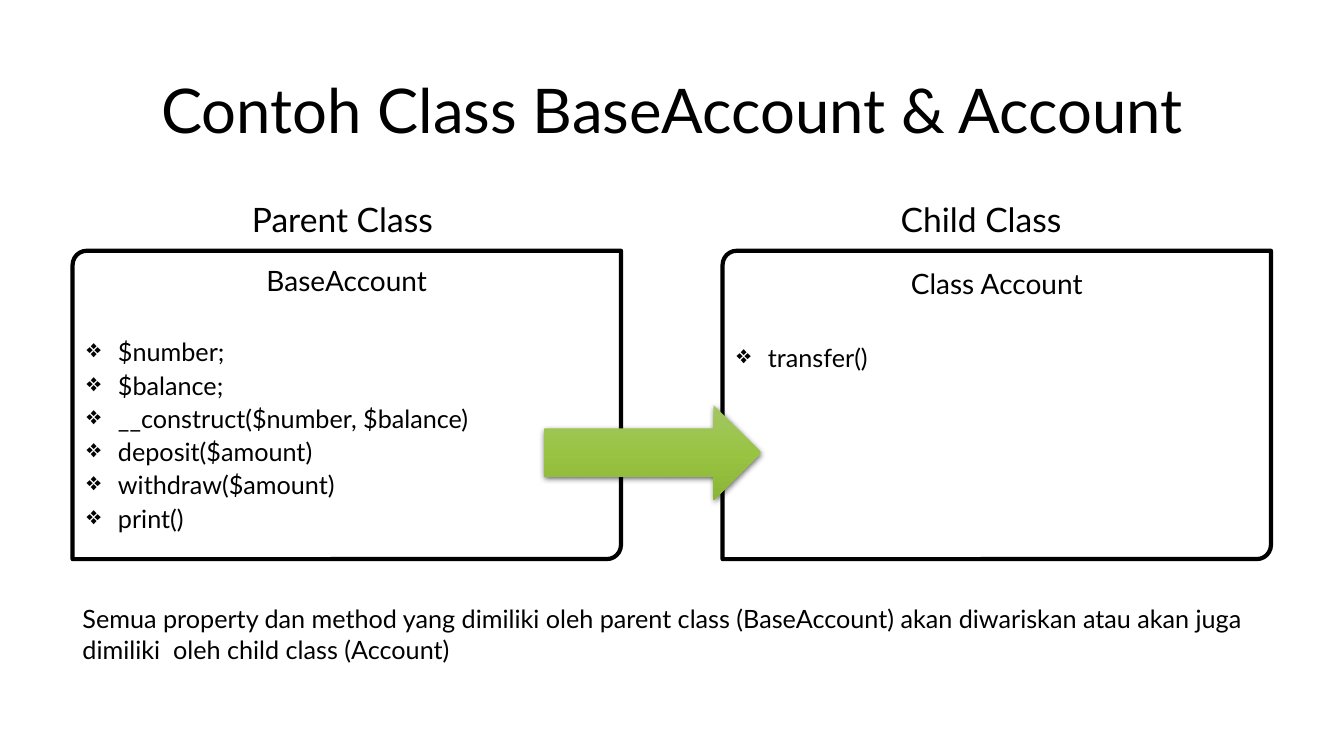
from dataclasses import dataclass

from lxml import etree
from pptx import Presentation, util as u
from pptx.dml.color import RGBColor
from pptx.enum import shapes as sh, text as tx
from pptx.oxml import parse_xml
from pptx.oxml.ns import nsdecls, qn
from pptx.shapes.autoshape import Shape
from pptx.slide import Slide
from pptx.text.text import TextFrame


@dataclass(frozen=True)
class Theme:
    font: str = "Lato"
    ink: str = "000000"
    green: tuple[str, ...] = ("A2C664", "99C443", "8AB535")
    title: int = 44
    label: int = 24
    name: int = 20
    body: int = 18


@dataclass(frozen=True)
class Box:
    left: float
    top: float
    width: float
    height: float

    def emu(self) -> tuple[u.Length, ...]:
        return tuple(map(u.Cm, (self.left, self.top, self.width, self.height)))


@dataclass(frozen=True)
class Panel:
    label: str
    shift: float
    span: float
    left: float
    name: str
    members: tuple[str, ...]
    pitch: float
    gap: float


THEME = Theme()
TOP, WIDE, HIGH = 6.32, 13.82, 7.77
INDENT = u.Cm(0.79)
PANELS = (
    Panel("Parent Class", 4.27, 5.33, 1.83, "BaseAccount",
          ("$number;", "$balance;", "__construct($number, $balance)",
           "deposit($amount)", "withdraw($amount)", "print()"), 1.1, 26.4),
    Panel("Child Class", 4.24, 4.7, 18.21, "Class Account",
          ("transfer()",), 1.2, 25.9),
)
NOTE = ("Semua property dan method yang dimiliki oleh parent class (BaseAccount) "
        "akan diwariskan atau akan juga dimiliki  oleh child class (Account)")


def write(frame: TextFrame, words: str, *, size: int, pitch: float = 1.0,
          align: tx.PP_ALIGN = tx.PP_ALIGN.LEFT, before: float = 0,
          bullet: str = "") -> None:
    """Fill the empty first paragraph, or add one after the last."""
    para = frame.add_paragraph() if frame.text else frame.paragraphs[0]
    para.alignment, para.line_spacing = align, pitch
    para.space_before = u.Pt(before)
    run = para.add_run()
    run.text = words
    run.font.name, run.font.size = THEME.font, u.Pt(size)
    run.font.color.rgb = RGBColor.from_string(THEME.ink)
    if bullet:
        props = para._p.get_or_add_pPr()
        props.set("marL", str(INDENT))
        props.set("indent", str(-INDENT))
        etree.SubElement(props, qn("a:buChar")).set("char", bullet)


def label(slide: Slide, box: Box, words: str, *, size: int, wrap: bool = True,
          anchor: tx.MSO_ANCHOR = tx.MSO_ANCHOR.TOP, pitch: float = 1.0,
          align: tx.PP_ALIGN = tx.PP_ALIGN.LEFT) -> None:
    frame = slide.shapes.add_textbox(*box.emu()).text_frame
    frame.word_wrap, frame.vertical_anchor = wrap, anchor
    write(frame, words, size=size, align=align, pitch=pitch)


def shape(slide: Slide, kind: sh.MSO_SHAPE, box: Box) -> Shape:
    form = slide.shapes.add_shape(kind, *box.emu())
    form.shadow.inherit = False
    return form


def panel(slide: Slide, item: Panel) -> None:
    form = shape(slide, sh.MSO_SHAPE.ROUND_2_DIAG_RECTANGLE,
                 Box(item.left, TOP, WIDE, HIGH))
    form.adjustments[0], form.adjustments[1] = 0.046, 0
    form.fill.background()
    form.line.color.rgb = RGBColor.from_string(THEME.ink)
    form.line.width = u.Pt(3)
    frame = form.text_frame
    frame.word_wrap, frame.vertical_anchor = True, tx.MSO_ANCHOR.TOP
    write(frame, item.name, size=THEME.name, pitch=item.pitch,
          align=tx.PP_ALIGN.CENTER)
    for rank, member in enumerate(item.members):
        write(frame, member, size=THEME.body, pitch=item.pitch,
              align=tx.PP_ALIGN.JUSTIFY, bullet="❖",
              before=0 if rank else item.gap)
    label(slide, Box(item.left + item.shift, 4.88, item.span, 1.27),
          item.label, size=THEME.label, wrap=False)


def arrow(slide: Slide, box: Box) -> None:
    """Draw the inheritance arrow with a vertical gradient and soft shadow."""
    form = shape(slide, sh.MSO_SHAPE.RIGHT_ARROW, box)
    form.line.fill.background()
    stops = "".join(
        f'<a:gs pos="{rank * 50000}"><a:srgbClr val="{tone}"/></a:gs>'
        for rank, tone in enumerate(THEME.green))
    props = form._element.spPr
    props.find(qn("a:prstGeom")).addnext(parse_xml(
        f'<a:gradFill {nsdecls("a")}><a:gsLst>{stops}</a:gsLst>'
        '<a:lin ang="5400000" scaled="0"/></a:gradFill>'))
    props.find(qn("a:effectLst")).append(parse_xml(
        f'<a:outerShdw {nsdecls("a")} blurRad="{u.Pt(4.5)}" dist="{u.Pt(1.5)}"'
        f' dir="5400000" algn="ctr" rotWithShape="0"><a:srgbClr val="{THEME.ink}">'
        '<a:alpha val="63000"/></a:srgbClr></a:outerShdw>'))


def main() -> None:
    deck = Presentation()
    deck.slide_width, deck.slide_height = u.Cm(33.87), u.Cm(19.05)
    slide = deck.slides.add_slide(deck.slide_layouts[6])
    label(slide, Box(2.34, 1.02, 29.21, 3.68), "Contoh Class BaseAccount & Account",
          size=THEME.title, anchor=tx.MSO_ANCHOR.MIDDLE, pitch=0.9,
          align=tx.PP_ALIGN.CENTER)
    for item in PANELS:
        panel(slide, item)
    arrow(slide, Box(13.72, 10.21, 5.46, 2.39))
    label(slide, Box(1.83, 15.09, 30.18, 1.8), NOTE, size=THEME.body)
    deck.save("out.pptx")


if __name__ == "__main__":
    main()
